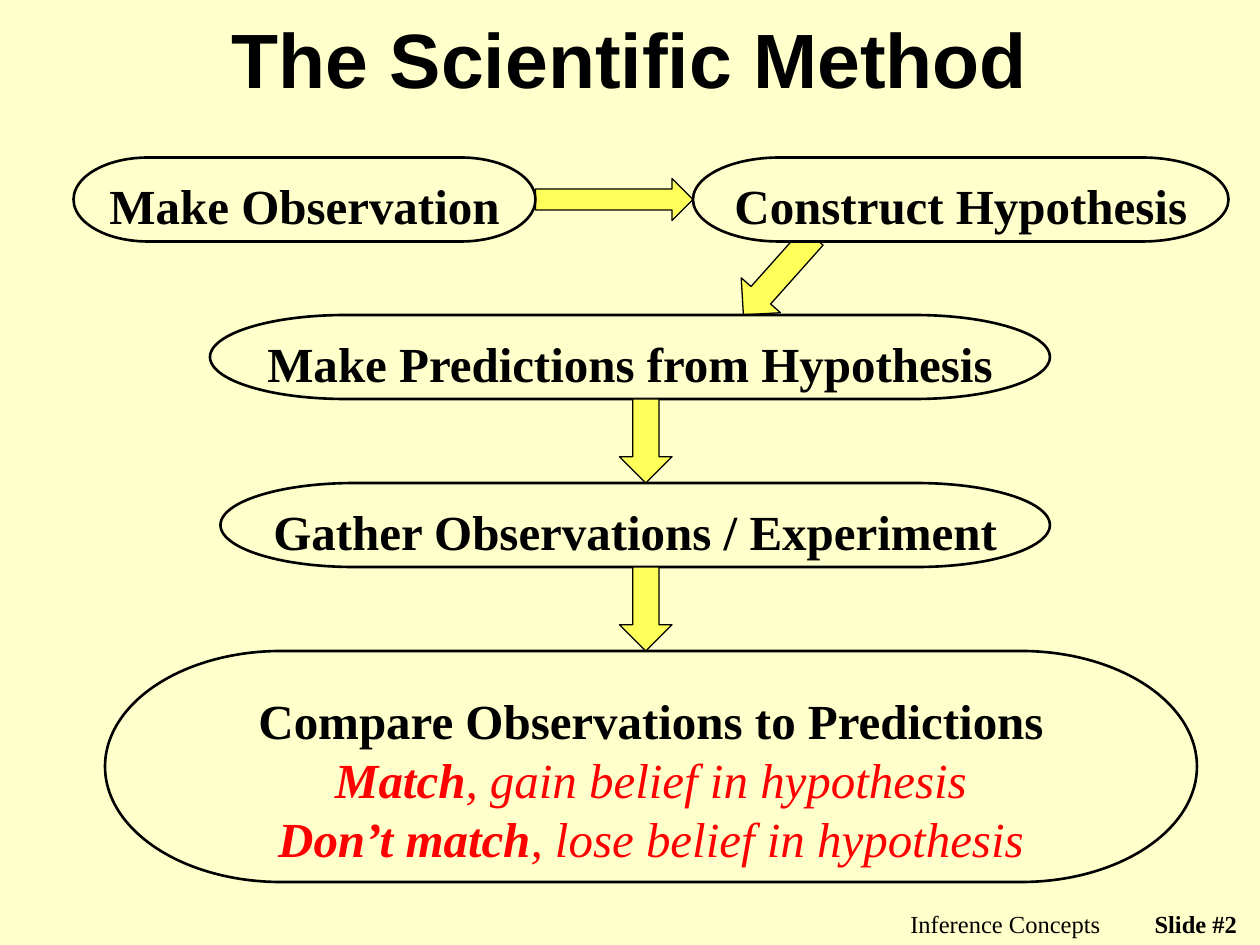
from pptx import Presentation
from pptx.dml.color import RGBColor
from pptx.enum.shapes import MSO_SHAPE
from pptx.enum.text import MSO_ANCHOR, PP_ALIGN
from pptx.util import Emu, Pt

SCALE = 9525
BLACK, RED, CREAM, YELLOW = "000000", "FF0000", "FFFFCC", "FFFF59"
SERIF, SANS = "Times New Roman", "Arial"


def px(n):
    return Emu(round(n * SCALE))


def color(code):
    return RGBColor.from_string(code)


def write(para, text, size=28, font=SERIF, fill=BLACK, bold=False,
          slant=False, align=PP_ALIGN.CENTER):
    para.alignment = align
    run = para.add_run()
    run.text = text
    face = run.font
    face.size, face.name = Pt(size), font
    face.bold, face.italic = bold, slant
    face.color.rgb = color(fill)


def label(slide, box, text, anchor=MSO_ANCHOR.TOP, **style):
    frame = slide.shapes.add_textbox(*map(px, box)).text_frame
    frame.word_wrap = True
    frame.vertical_anchor = anchor
    write(frame.paragraphs[0], text, **style)


def block(slide, kind, box, fill, width):
    shape = slide.shapes.add_shape(kind, *map(px, box))
    shape.shadow.inherit = False
    shape.fill.solid()
    shape.fill.fore_color.rgb = color(fill)
    shape.line.color.rgb = color(BLACK)
    shape.line.width = Pt(width)
    return shape


def step(slide, box, title, notes=()):
    shape = block(slide, MSO_SHAPE.FLOWCHART_TERMINATOR, box, CREAM, 1.5)
    frame = shape.text_frame
    frame.word_wrap = True
    frame.vertical_anchor = MSO_ANCHOR.TOP
    write(frame.paragraphs[0], title, bold=True)
    for lead, rest in notes:
        para = frame.add_paragraph()
        write(para, lead, fill=RED, bold=True, slant=True)
        write(para, rest, fill=RED, slant=True)


def arrow(slide, box, turn=0):
    shape = block(slide, MSO_SHAPE.RIGHT_ARROW, box, YELLOW, 0.75)
    shape.rotation = turn


def flow(slide, left, top):
    high = 64
    arrow(slide, (left + 352, top + 16, 120, 32))
    arrow(slide, (left + 497, top + 70, 80, 40), 131.7)
    step(slide, (left, top, 352, high), "Make Observation")
    step(slide, (left + 472, top, 408, high), "Construct Hypothesis")
    step(slide, (left + 104, top + 120, 640, high),
         "Make Predictions from Hypothesis")
    step(slide, (left + 112, top + 248, 632, high),
         "Gather Observations / Experiment")
    step(slide, (left + 24, top + 376, 832, 176),
         "Compare Observations to Predictions",
         [("Match", ", gain belief in hypothesis"),
          ("Don’t match", ", lose belief in hypothesis")])
    for row in range(2):
        arrow(slide, (left + 404, top + 196 + 128 * row, 64, 40), 90)


def footer(slide, left, top):
    right = PP_ALIGN.RIGHT
    label(slide, (left, top, 304, 24), "Inference Concepts",
          size=14, align=right)
    label(slide, (left + 304, top, 104, 16), "Slide #2",
          size=14, bold=True, align=right)


def main():
    deck = Presentation()
    deck.slide_width, deck.slide_height = px(960), px(720)
    slide = deck.slides.add_slide(deck.slide_layouts[6])
    slide.background.fill.solid()
    slide.background.fill.fore_color.rgb = color(CREAM)
    label(slide, (72, 0, 816, 88), "The Scientific Method",
          anchor=MSO_ANCHOR.MIDDLE, size=44, font=SANS, bold=True)
    flow(slide, 56, 120)
    footer(slide, 544, 688)
    deck.save("out.pptx")


if __name__ == "__main__":
    main()
